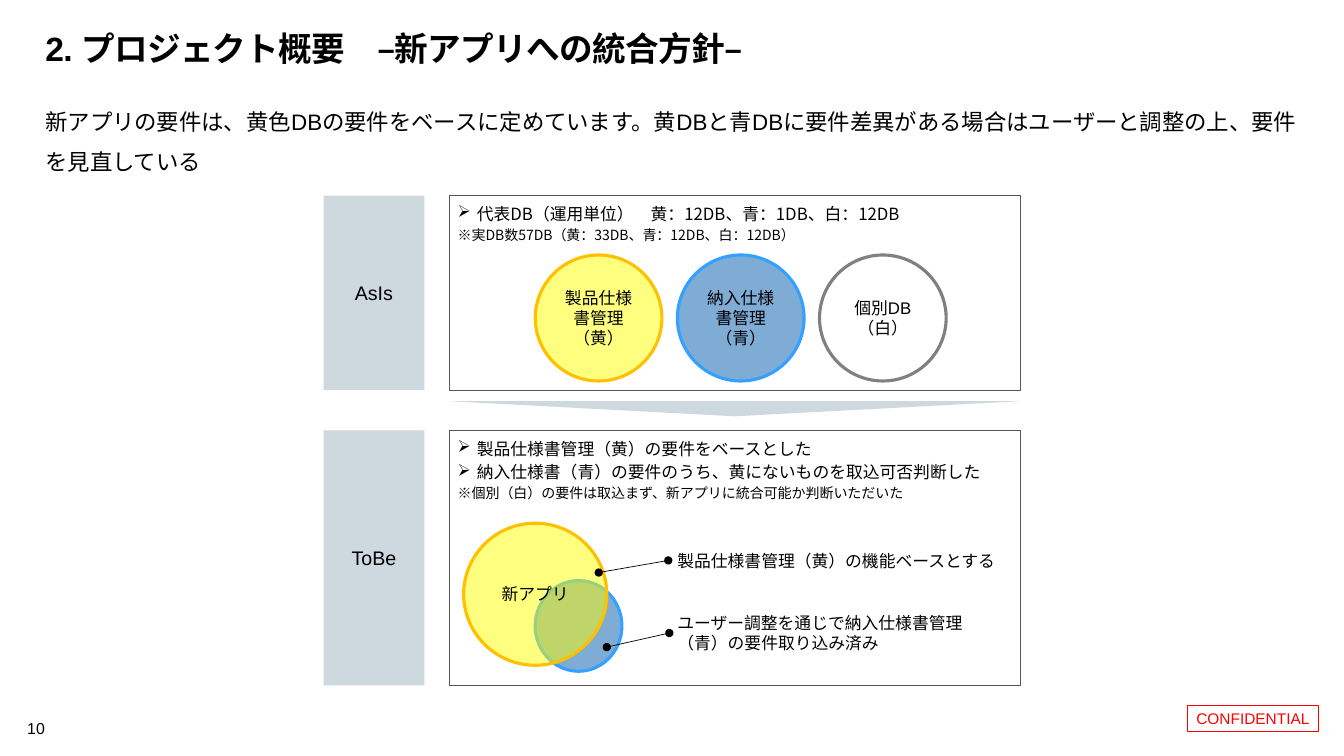
from lxml import etree
from pptx import Presentation
from pptx.dml.color import RGBColor
from pptx.enum.shapes import MSO_CONNECTOR, MSO_SHAPE
from pptx.enum.text import MSO_ANCHOR, MSO_AUTO_SIZE, PP_ALIGN
from pptx.oxml.ns import qn
from pptx.util import Inches, Pt

RECT, OVAL, WEDGE = MSO_SHAPE.RECTANGLE, MSO_SHAPE.OVAL, MSO_SHAPE.ISOSCELES_TRIANGLE
LEFT, MID = PP_ALIGN.LEFT, PP_ALIGN.CENTER
TOP, HALF, LOW = MSO_ANCHOR.TOP, MSO_ANCHOR.MIDDLE, MSO_ANCHOR.BOTTOM
STRAIGHT = MSO_CONNECTOR.STRAIGHT
NOFIT = MSO_AUTO_SIZE.NONE
COLS, ROWS = 40, 30
SANS, CJK = "Arial", "Noto Sans CJK JP"
HUES = {
    "ink": "000000", "red": "FF0000", "mist": "CED8DF", "edge": "53565A",
    "lemon": "FFFF00", "gold": "FFC000", "navy": "005BAB", "sky": "34A0FF",
    "white": "FFFFFF", "gray": "808080",
}


def hue(name):
    return RGBColor.from_string(HUES[name])


class Deck:
    def __init__(self):
        self.show = Presentation()
        self.show.slide_width, self.show.slide_height = Inches(13.33), Inches(7.5)
        self.slide = self.show.slides.add_slide(self.show.slide_layouts[1])

    def place(self, x, y):
        return (int(x * self.show.slide_width / COLS),
                int(y * self.show.slide_height / ROWS))

    def box(self, x, y, w, h):
        return self.place(x, y) + self.place(w, h)

    def frame(self, shape, pads, anchor):
        body = shape.text_frame
        body.word_wrap = True
        body.auto_size = NOFIT
        body.vertical_anchor = anchor
        sides = [Inches(pad) for pad in pads]
        body.margin_left, body.margin_top, body.margin_right, body.margin_bottom = sides
        return body

    def run(self, para, text, size, font=SANS, tint="ink", bold=False):
        run = para.add_run()
        run.text = text
        run.font.size, run.font.name, run.font.bold = Pt(size), font, bold
        run.font.color.rgb = hue(tint)
        etree.SubElement(run.font._element, qn("a:ea"), typeface=CJK)
        return run

    def words(self, shape, lines, size, pads=(0.08,) * 4, anchor=HALF,
              align=MID, tint="ink"):
        body = self.frame(shape, pads, anchor)
        for i, text in enumerate(lines):
            para = body.add_paragraph() if i else body.paragraphs[0]
            para.alignment = align
            self.run(para, text, size, tint=tint)

    def holder(self, shape, box, text, size, anchor, bold=False):
        shape.left, shape.top, shape.width, shape.height = self.box(*box)
        para = self.frame(shape, (0,) * 4, anchor).paragraphs[0]
        para.alignment = LEFT
        return para, self.run(para, text, size, bold=bold)

    def title(self, box, text):
        run = self.holder(self.slide.shapes.title, box, text, 24, LOW, True)[1]
        run.font._element.set("spc", "-50")

    def lead(self, box, text):
        para = self.holder(self.slide.placeholders[1], box, text, 16, TOP)[0]
        para.line_spacing, para.space_before = 1.5, Pt(10)
        props = para._p.get_or_add_pPr()
        props.set("marL", "0")
        props.set("indent", "0")
        etree.SubElement(props, qn("a:buNone"))

    def shape(self, kind, box, fill=None, line=None, width=0.75, alpha=None):
        shape = self.slide.shapes.add_shape(kind, *self.box(*box))
        shape.shadow.inherit = False
        if fill:
            shape.fill.solid()
            shape.fill.fore_color.rgb = hue(fill)
        else:
            shape.fill.background()
        if alpha:
            tone = shape._element.spPr.find(qn("a:solidFill"))[0]
            etree.SubElement(tone, qn("a:alpha"), val=str(alpha * 1000))
        if line:
            shape.line.color.rgb, shape.line.width = hue(line), Pt(width)
        else:
            shape.line.fill.background()
        return shape

    def disc(self, box, fill, line, lines=()):
        disc = self.shape(OVAL, box, fill, line, 2.25, 50)
        self.words(disc, lines, 12, (0.04, 0.08) * 2)

    def label(self, box, text):
        self.words(self.shape(RECT, box, "mist"), [text], 14)

    def panel(self, box, points, note):
        body = self.frame(self.shape(RECT, box, line="edge"), (0.08,) * 4, TOP)
        for i, text in enumerate(points + [note]):
            para = body.add_paragraph() if i else body.paragraphs[0]
            para.alignment = LEFT
            size = 10 if text == note else 12
            para.space_before = Pt(size * 0.2)
            self.run(para, text, size, CJK)
            if text != note:
                props = para._p.get_or_add_pPr()
                props.set("marL", str(Inches(0.19)))
                props.set("indent", str(-Inches(0.19)))
                etree.SubElement(props, qn("a:buChar"), char="➢")

    def text(self, box, text, size=12, pads=(0.08,) * 4, anchor=HALF):
        item = self.slide.shapes.add_textbox(*self.box(*box))
        self.words(item, [text], size, pads, anchor, LEFT)

    def link(self, start, end):
        link = self.slide.shapes.add_connector(
            STRAIGHT, *self.place(*start), *self.place(*end))
        link.line.color.rgb, link.line.width = hue("ink"), Pt(0.5)
        edge = link._element.spPr.find(qn("a:ln"))
        for tip in ("a:headEnd", "a:tailEnd"):
            etree.SubElement(edge, qn(tip), type="oval")
        etree.SubElement(link._element.spPr, qn("a:effectLst"))


def main():
    deck = Deck()
    deck.title((1.35, 1.12, 30.6, 1.6), "2. プロジェクト概要　–新アプリへの統合方針–")
    deck.lead((1.35, 3.76, 37.89, 5.64),
              "新アプリの要件は、黄色DBの要件をベースに定めています。黄DBと青DBに要件差異が"
              "ある場合はユーザーと調整の上、要件を見直している")
    stamp = deck.shape(RECT, (35.34, 28, 3.9, 1.04), line="red")
    deck.words(stamp, ["CONFIDENTIAL"], 11, (0.04,) * 4, tint="red")
    deck.text((0.81, 28.32, 1.14, 1.04), "10", 11.3, (0, 0.05, 0.1, 0.05), TOP)

    stages = [
        ("AsIs", 7.76, 7.72, ["代表DB（運用単位）　黄：12DB、青：1DB、白：12DB"],
         "※実DB数57DB（黄：33DB、青：12DB、白：12DB）"),
        ("ToBe", 17.08, 10.12,
         ["製品仕様書管理（黄）の要件をベースとした",
          "納入仕様書（青）の要件のうち、黄にないものを取込可否判断した"],
         "※個別（白）の要件は取込まず、新アプリに統合可能か判断いただいた"),
    ]
    for name, y, h, points, note in stages:
        deck.label((9.63, y, 3, h), name)
        deck.panel((13.38, y, 16.98, h), points, note)
    deck.shape(WEDGE, (13.38, 15.92, 16.98, 0.6), "mist").rotation = 180

    discs = [
        ("lemon", "gold", ["製品仕様書管理", "（黄）"]),
        ("navy", "sky", ["納入仕様書管理（青）"]),
        ("white", "gray", ["個別DB", "（白）"]),
    ]
    for i, (fill, line, lines) in enumerate(discs):
        deck.disc((15.93 + 4.23 * i, 10.12, 3.77, 5), fill, line, lines)
    deck.disc((15.93, 23.04, 2.58, 3.6), "navy", "sky")
    deck.disc((13.8, 20.76, 4.26, 5.64), "lemon", "gold", ["新アプリ"])

    notes = [
        ((17.82, 22.72), (19.89, 22.24), 21.44, 1.6,
         "製品仕様書管理（黄）の機能ベースとする"),
        ((18.06, 25.68), (19.92, 25.12), 23.6, 3.04,
         "ユーザー調整を通じで納入仕様書管理（青）の要件取り込み済み"),
    ]
    for start, end, y, h, text in notes:
        deck.link(start, end)
        deck.text((19.92, y, 10.44, h), text)
    deck.show.save("out.pptx")


if __name__ == "__main__":
    main()
